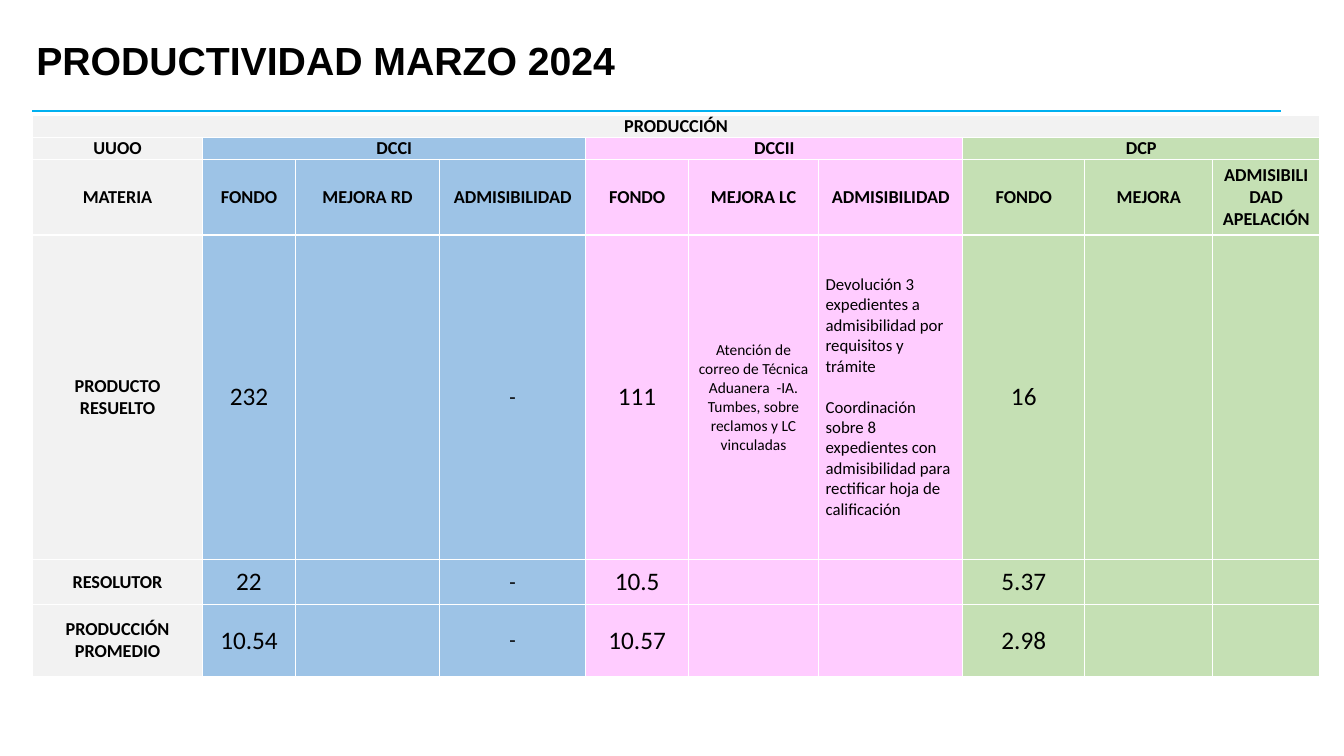
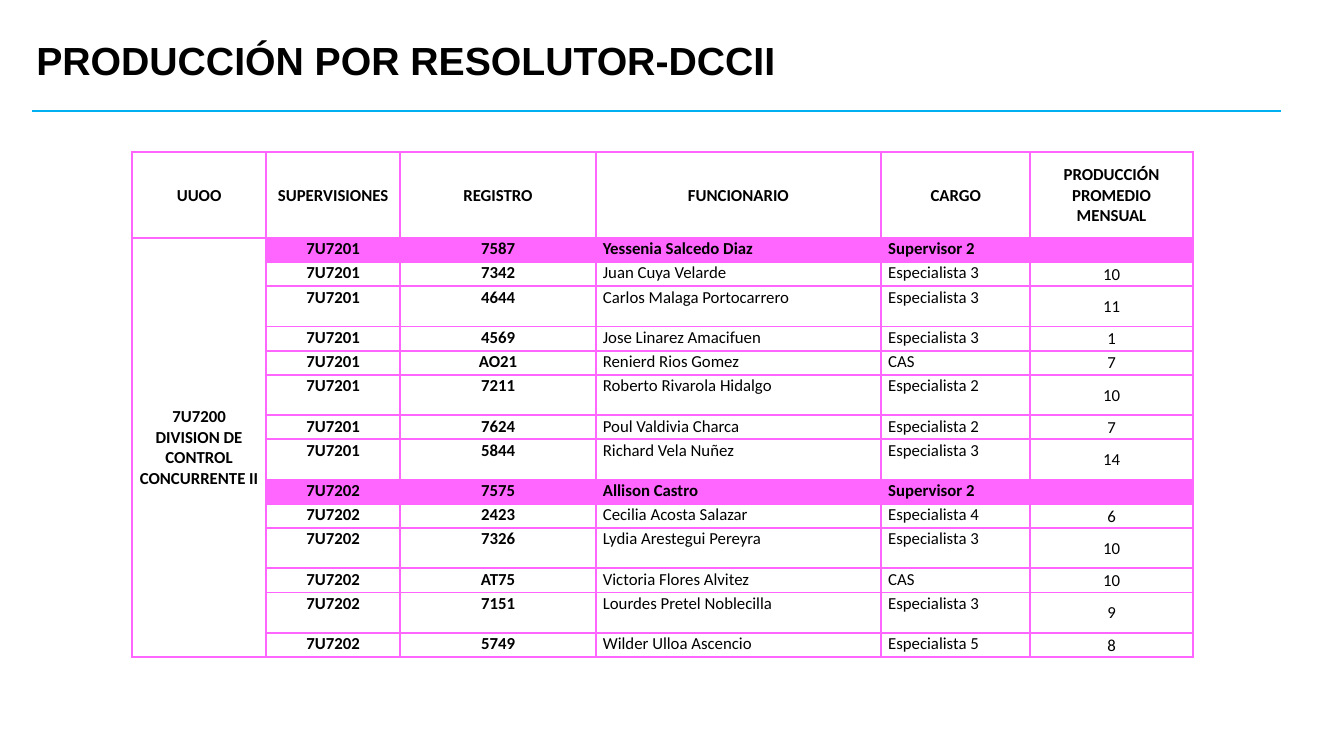
"""Build the two monthly productivity slides and save them as out.pptx."""
from dataclasses import dataclass

from lxml.etree import SubElement
from pptx import Presentation
from pptx.dml.color import RGBColor
from pptx.enum.shapes import MSO_CONNECTOR as Connector
from pptx.enum.text import MSO_ANCHOR as Anchor, MSO_AUTO_SIZE as AutoSize, PP_ALIGN as Align
from pptx.oxml.ns import qn
from pptx.util import Inches, Pt

COLORS = {
    "text": "000000",
    "white": "FFFFFF",
    "rule": "00B0F0",
    "gray": "F2F2F2",
    "blue": "9DC3E6",
    "pink": "FFCCFF",
    "green": "C5E0B4",
    "magenta": "FF66FF",
}


@dataclass(frozen=True)
class TableLayout:
    left: float
    top: float
    widths: tuple[float, ...]
    heights: tuple[float, ...]
    border: str
    border_width: float
    top_inset: float


@dataclass(frozen=True)
class CellStyle:
    size: float
    bold: bool = False
    align: Align = Align.CENTER
    anchor: Anchor = Anchor.MIDDLE
    fill: str | None = None
    gap: float = 0


@dataclass(frozen=True)
class Official:
    register: str
    name: str
    role: str
    average: str = ""
    height: float = 0.24


PRODUCTION_LAYOUT = TableLayout(
    0.32, 1.14,
    (1.69, 0.92, 1.43, 1.45, 1.02, 1.29, 1.43, 1.21, 1.27, 1.06),
    (0.21, 0.21, 0.75, 3.22, 0.45, 0.71),
    "white", 1, 0,
)
PRODUCTION_ROWS = (
    ("PRODUCCIÓN",) + ("",) * 9,
    ("UUOO", "DCCI", "", "", "DCCII", "", "", "DCP", "", ""),
    ("MATERIA", "FONDO", "MEJORA RD", "ADMISIBILIDAD", "FONDO", "MEJORA LC",
     "ADMISIBILIDAD", "FONDO", "MEJORA", "ADMISIBILIDAD APELACIÓN"),
    ("PRODUCTO RESUELTO", "232", "", "-", "111",
     "Atención de correo de Técnica Aduanera  -IA. Tumbes, sobre reclamos y LC vinculadas",
     "Devolución 3 expedientes a admisibilidad por requisitos y trámite\n"
     "Coordinación sobre 8 expedientes con admisibilidad para rectificar hoja de calificación",
     "16", "", ""),
    ("RESOLUTOR", "22", "", "-", "10.5", "", "", "5.37", "", ""),
    ("PRODUCCIÓN PROMEDIO", "10.54", "", "-", "10.57", "", "", "2.98", "", ""),
)
COLUMN_FILLS = ("gray",) + ("blue",) * 3 + ("pink",) * 3 + ("green",) * 3
BODY_SIZES = (13, 18, 12, 15, 18, 11, 12, 18, 12, 12)

STAFF_HEADERS = ("UUOO", "SUPERVISIONES", "REGISTRO", "FUNCIONARIO", "CARGO",
                 "PRODUCCIÓN PROMEDIO MENSUAL")
DIVISION = "7U7200 DIVISION DE CONTROL CONCURRENTE II"
TEAMS = {
    "7U7201": (
        Official("7587", "Yessenia Salcedo Diaz", "Supervisor 2"),
        Official("7342", "Juan Cuya Velarde", "Especialista 3", "10"),
        Official("4644", "Carlos Malaga Portocarrero", "Especialista 3", "11", 0.4),
        Official("4569", "Jose Linarez Amacifuen", "Especialista 3", "1"),
        Official("AO21", "Renierd Rios Gomez", "CAS", "7"),
        Official("7211", "Roberto Rivarola Hidalgo", "Especialista 2", "10", 0.4),
        Official("7624", "Poul Valdivia Charca", "Especialista 2", "7"),
        Official("5844", "Richard Vela Nuñez", "Especialista 3", "14", 0.4),
    ),
    "7U7202": (
        Official("7575", "Allison Castro", "Supervisor 2"),
        Official("2423", "Cecilia Acosta Salazar", "Especialista 4", "6"),
        Official("7326", "Lydia Arestegui Pereyra", "Especialista 3", "10", 0.4),
        Official("AT75", "Victoria Flores Alvitez", "CAS", "10"),
        Official("7151", "Lourdes Pretel Noblecilla", "Especialista 3", "9", 0.4),
        Official("5749", "Wilder Ulloa Ascencio", "Especialista 5", "8"),
    ),
}


def rgb(name: str) -> RGBColor:
    return RGBColor.from_string(COLORS[name])


def write_text(frame, text: str, *, size: float, font: str = "Calibri", bold: bool = False,
               align: Align = Align.LEFT, line_spacing: float = 1, gap: float = 0) -> None:
    frame.word_wrap = True
    for index, line in enumerate(text.split("\n")):
        paragraph = frame.add_paragraph() if index else frame.paragraphs[0]
        paragraph.alignment = align
        paragraph.line_spacing = line_spacing
        if index:
            paragraph.space_before = Pt(gap)
        if not line:
            SubElement(paragraph._p, qn("a:endParaRPr"), sz=str(int(size * 100)))
            continue
        run = paragraph.add_run()
        run.text = line
        run.font.name = font
        run.font.size = Pt(size)
        run.font.bold = bold
        run.font.color.rgb = rgb("text")


def add_borders(cell, color: str, width: float) -> None:
    properties = cell._tc.get_or_add_tcPr()
    for side in ("lnL", "lnR", "lnT", "lnB"):
        line = SubElement(properties, qn(f"a:{side}"), w=str(Pt(width)))
        fill = SubElement(line, qn("a:solidFill"))
        SubElement(fill, qn("a:srgbClr"), val=COLORS[color])


def fill_cell(cell, text: str, style: CellStyle, layout: TableLayout) -> None:
    cell.margin_left = cell.margin_right = Inches(0.07)
    cell.margin_top, cell.margin_bottom = Inches(layout.top_inset), Inches(0)
    cell.vertical_anchor = style.anchor
    add_borders(cell, layout.border, layout.border_width)
    if style.fill:
        cell.fill.solid()
        cell.fill.fore_color.rgb = rgb(style.fill)
    else:
        cell.fill.background()
    write_text(cell.text_frame, text, size=style.size, bold=style.bold,
               align=style.align, gap=style.gap)


def add_table(slide, layout: TableLayout):
    table = slide.shapes.add_table(
        len(layout.heights), len(layout.widths), Inches(layout.left), Inches(layout.top),
        Inches(sum(layout.widths)), Inches(sum(layout.heights))).table
    table.first_row = table.horz_banding = False
    for column, width in zip(table.columns, layout.widths):
        column.width = Inches(width)
    for row, height in zip(table.rows, layout.heights):
        row.height = Inches(height)
    return table


def add_titled_slide(presentation, title: str):
    slide = presentation.slides.add_slide(presentation.slide_layouts[5])
    shape = slide.shapes.title
    shape.left, shape.top = Inches(0.26), Inches(0.27)
    shape.width, shape.height = Inches(11.5), Inches(0.7)
    shape.text_frame.auto_size = AutoSize.NONE
    shape.text_frame.vertical_anchor = Anchor.MIDDLE
    write_text(shape.text_frame, title, size=28, font="Arial", bold=True, line_spacing=0.9)
    rule = slide.shapes.add_connector(
        Connector.STRAIGHT, Inches(0.32), Inches(1.1), Inches(12.71), Inches(1.1))
    rule.line.color.rgb = rgb("rule")
    rule.line.width = Pt(1.5)
    SubElement(rule._element.spPr, qn("a:effectLst"))
    return slide


def production_style(row: int, column: int) -> CellStyle:
    fill = COLUMN_FILLS[column] if row else "gray"
    if row < 3 or column == 0:
        return CellStyle(13, bold=True, fill=fill)
    align = Align.LEFT if column == 6 else Align.CENTER
    return CellStyle(BODY_SIZES[column], align=align, fill=fill, gap=14.4)


def build_production(presentation) -> None:
    slide = add_titled_slide(presentation, "PRODUCTIVIDAD MARZO 2024")
    table = add_table(slide, PRODUCTION_LAYOUT)
    table.cell(0, 0).merge(table.cell(0, 9))
    for first in (1, 4, 7):
        table.cell(1, first).merge(table.cell(1, first + 2))
    for row, texts in enumerate(PRODUCTION_ROWS):
        for column, text in enumerate(texts):
            fill_cell(table.cell(row, column), text, production_style(row, column),
                      PRODUCTION_LAYOUT)


def build_staff(presentation) -> None:
    slide = add_titled_slide(presentation, "PRODUCCIÓN POR RESOLUTOR-DCCII")
    members = [(team, official) for team, officials in TEAMS.items() for official in officials]
    layout = TableLayout(
        1.31, 1.51, (1.33, 1.33, 1.94, 2.83, 1.48, 1.61),
        (0.85, *(official.height for _, official in members)), "magenta", 1.5, 0.01)
    table = add_table(slide, layout)
    table.cell(1, 0).merge(table.cell(len(members), 0))
    header = CellStyle(12, bold=True)
    for column, text in enumerate(STAFF_HEADERS):
        fill_cell(table.cell(0, column), text, header, layout)
    for row, (team, official) in enumerate(members, start=1):
        leads = official.role.startswith("Supervisor")
        fill = "magenta" if leads else None
        code = CellStyle(12, bold=True, anchor=Anchor.TOP, fill=fill)
        detail = CellStyle(12, bold=leads, align=Align.LEFT, anchor=Anchor.TOP, fill=fill)
        entries = (
            (DIVISION if row == 1 else "", header),
            (team, code),
            (official.register, code),
            (official.name, detail),
            (official.role, detail),
            (official.average, CellStyle(12, fill=fill)),
        )
        for column, (text, style) in enumerate(entries):
            fill_cell(table.cell(row, column), text, style, layout)


def main() -> None:
    presentation = Presentation()
    presentation.slide_width, presentation.slide_height = Inches(13.33), Inches(7.5)
    build_production(presentation)
    build_staff(presentation)
    presentation.save("out.pptx")


if __name__ == "__main__":
    main()
